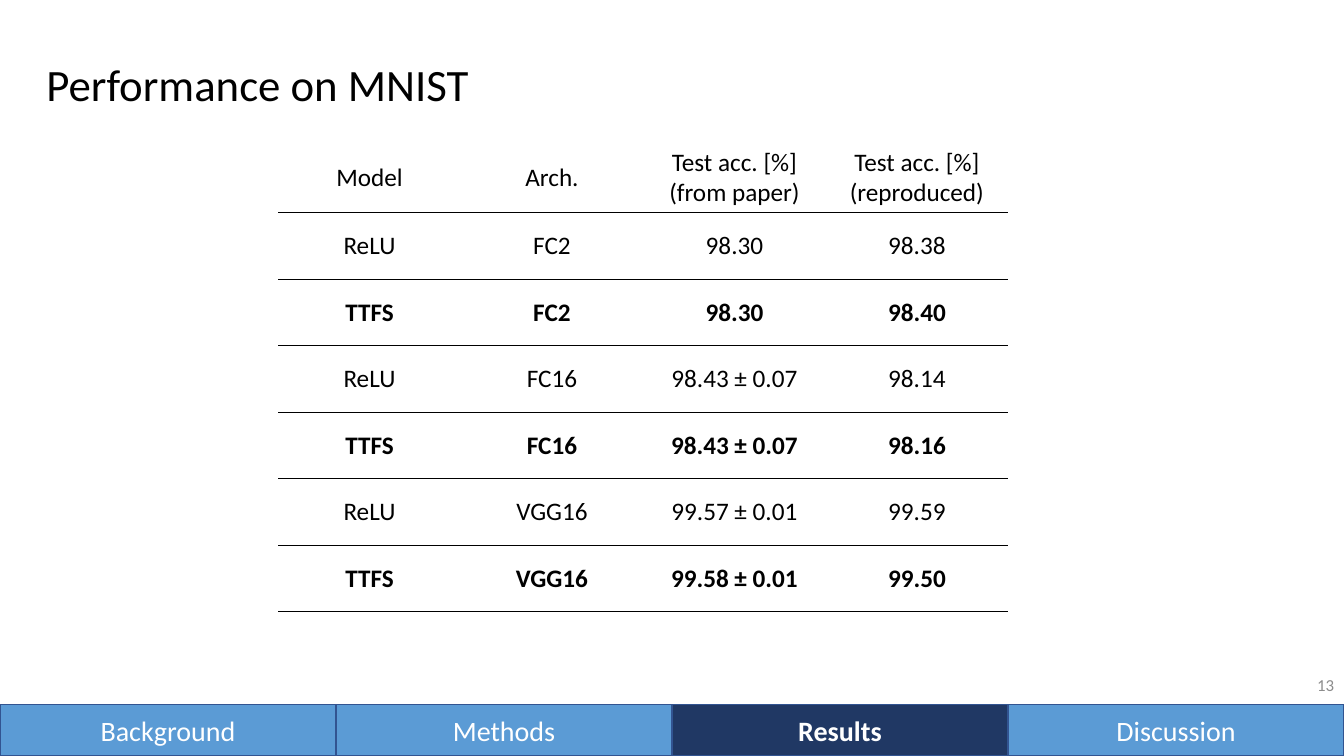
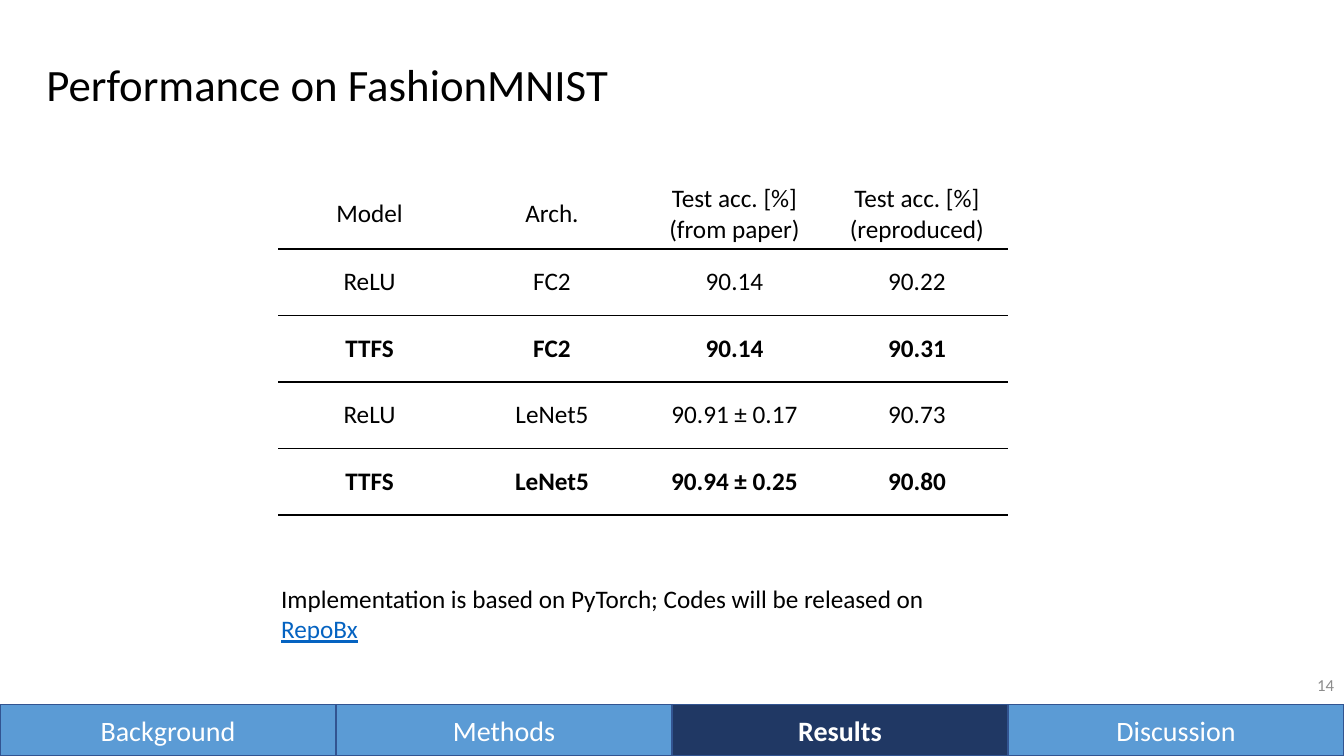
from dataclasses import dataclass
from typing import Optional

from lxml.etree import SubElement
from pptx import Presentation
from pptx.dml.color import RGBColor
from pptx.enum.shapes import MSO_SHAPE as Shape
from pptx.enum.text import MSO_ANCHOR as Anchor, MSO_AUTO_SIZE as AutoSize, PP_ALIGN as Align
from pptx.oxml import parse_xml
from pptx.oxml.ns import nsdecls, qn
from pptx.util import Inches, Pt

BLACK = RGBColor(0x00, 0x00, 0x00)
WHITE = RGBColor(0xFF, 0xFF, 0xFF)
GRAY = RGBColor(0x8C, 0x8C, 0x8C)
TAB_BLUE = RGBColor(0x5B, 0x9B, 0xD5)
TAB_ACTIVE = RGBColor(0x20, 0x38, 0x64)
TAB_EDGE = RGBColor(0x32, 0x54, 0x91)
LINK_BLUE = RGBColor(0x05, 0x63, 0xC1)

FONT = "Calibri"
PAGE_WIDTH, PAGE_HEIGHT = 13.33, 7.5
TAB_HEIGHT = 0.51
COLUMN_WIDTH, ROW_HEIGHT, TABLE_LEFT = 1.81, 0.66, 2.76
PLAIN_TABLE_STYLE = "{2D5ABB26-0587-4C30-8999-92F81FD0307C}"
TITLE_ONLY_LAYOUT = 5

SECTIONS = ("Background", "Methods", "Results", "Discussion")
HEADER = ("Model", "Arch.", "Test acc. [%]\n(from paper)", "Test acc. [%]\n(reproduced)")
Row = tuple[str, str, str, str]


@dataclass(frozen=True)
class Note:
    text: str
    link: str


@dataclass(frozen=True)
class ResultPage:
    title: str
    title_width: float
    number: int
    table_top: float
    rows: tuple[Row, ...]
    note: Optional[Note] = None


PAGES = (
    ResultPage("Performance on MNIST", 4.43, 13, 1.41, (
        ("ReLU", "FC2", "98.30", "98.38"),
        ("TTFS", "FC2", "98.30", "98.40"),
        ("ReLU", "FC16", "98.43 ± 0.07", "98.14"),
        ("TTFS", "FC16", "98.43 ± 0.07", "98.16"),
        ("ReLU", "VGG16", "99.57 ± 0.01", "99.59"),
        ("TTFS", "VGG16", "99.58 ± 0.01", "99.50"),
    )),
    ResultPage("Performance on FashionMNIST", 5.83, 14, 1.77, (
        ("ReLU", "FC2", "90.14", "90.22"),
        ("TTFS", "FC2", "90.14", "90.31"),
        ("ReLU", "LeNet5", "90.91 ± 0.17", "90.73"),
        ("TTFS", "LeNet5", "90.94 ± 0.25", "90.80"),
    ), Note("Implementation is based on PyTorch; Codes will be released on ", "RepoBx")),
)


def style_text(frame, size: float, color: RGBColor, align=Align.LEFT, bold: bool = False) -> None:
    for para in frame.paragraphs:
        para.alignment = align
        font = para.font
        font.name, font.size, font.bold = FONT, Pt(size), bold
        font.color.rgb = color


def fit_one_line(frame) -> None:
    frame.word_wrap = False
    frame.auto_size = AutoSize.SHAPE_TO_FIT_TEXT


def set_title(slide, text: str, width: float) -> None:
    title = slide.shapes.title
    title.left, title.top = Inches(0.36), Inches(0.51)
    title.width, title.height = Inches(width), Inches(0.64)
    frame = title.text_frame
    frame.text = text
    frame.vertical_anchor = Anchor.TOP
    fit_one_line(frame)
    style_text(frame, 32, BLACK)


def add_page_number(slide, number: int) -> None:
    box = slide.shapes.add_textbox(Inches(10.33), Inches(6.59), Inches(3), Inches(0.4))
    frame = box.text_frame
    frame.word_wrap = True
    frame.text = str(number)
    frame.vertical_anchor = Anchor.MIDDLE
    style_text(frame, 12, GRAY, Align.RIGHT)


def add_section_tabs(slide, active: str) -> None:
    group = slide.shapes.add_group_shape()
    width = PAGE_WIDTH / len(SECTIONS)
    for index, section in enumerate(SECTIONS):
        tab = group.shapes.add_shape(
            Shape.RECTANGLE, Inches(index * width), Inches(PAGE_HEIGHT - TAB_HEIGHT),
            Inches(width), Inches(TAB_HEIGHT))
        tab.shadow.inherit = False
        tab.fill.solid()
        tab.fill.fore_color.rgb = TAB_ACTIVE if section == active else TAB_BLUE
        tab.line.color.rgb = TAB_EDGE
        tab.line.width = Pt(1)
        frame = tab.text_frame
        frame.text = section
        frame.vertical_anchor = Anchor.MIDDLE
        style_text(frame, 20, WHITE, Align.CENTER, section == active)


def add_rule(cell, side: str) -> None:
    """Draw a thin black border; borders must precede the cell fill."""
    line = parse_xml(f'<a:{side} {nsdecls("a")} w="{Pt(1)}"/>')
    fill = SubElement(line, qn("a:solidFill"))
    SubElement(fill, qn("a:srgbClr"), val=str(BLACK))
    cell._tc.get_or_add_tcPr().insert(0, line)


def add_result_table(slide, top: float, rows: tuple[Row, ...]) -> None:
    lines = (HEADER, *rows)
    holder = slide.shapes.add_table(
        len(lines), len(HEADER), Inches(TABLE_LEFT), Inches(top),
        Inches(COLUMN_WIDTH * len(HEADER)), Inches(ROW_HEIGHT * len(lines)))
    table = holder.table
    table.first_row = table.horz_banding = False
    table._tbl.tblPr.find(qn("a:tableStyleId")).text = PLAIN_TABLE_STYLE
    for column in table.columns:
        column.width = Inches(COLUMN_WIDTH)
    for row_index, values in enumerate(lines):
        table.rows[row_index].height = Inches(ROW_HEIGHT)
        for column_index, value in enumerate(values):
            cell = table.cell(row_index, column_index)
            cell.text = value
            cell.vertical_anchor = Anchor.MIDDLE
            cell.fill.background()
            add_rule(cell, "lnB")
            if row_index > 0:
                add_rule(cell, "lnT")
            style_text(cell.text_frame, 18, BLACK, Align.CENTER, values[0] == "TTFS")


def add_note(slide, note: Note) -> None:
    box = slide.shapes.add_textbox(Inches(2.69), Inches(5.74), Inches(7.38), Inches(0.4))
    frame = box.text_frame
    fit_one_line(frame)
    frame.text = note.text
    style_text(frame, 18, BLACK)
    span = frame.paragraphs[0].add_run()
    span.text = note.link
    span.font.color.rgb = LINK_BLUE
    span.font.underline = True


def add_result_page(deck, page: ResultPage) -> None:
    slide = deck.slides.add_slide(deck.slide_layouts[TITLE_ONLY_LAYOUT])
    # Shared frame
    set_title(slide, page.title, page.title_width)
    add_page_number(slide, page.number)
    add_section_tabs(slide, "Results")
    # Content
    add_result_table(slide, page.table_top, page.rows)
    if page.note:
        add_note(slide, page.note)


def main() -> None:
    deck = Presentation()
    deck.slide_width, deck.slide_height = Inches(PAGE_WIDTH), Inches(PAGE_HEIGHT)
    for page in PAGES:
        add_result_page(deck, page)
    deck.save("out.pptx")


if __name__ == "__main__":
    main()
